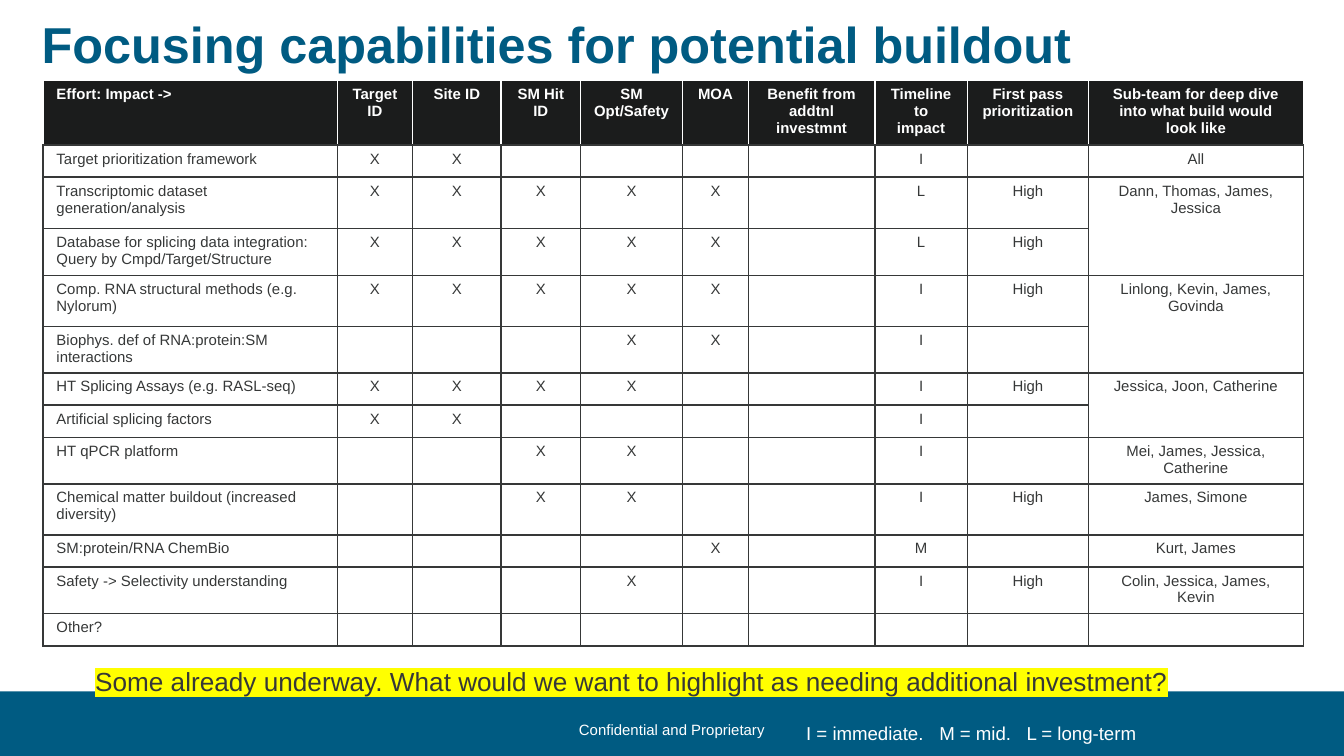
from lxml import etree
from pptx import Presentation
from pptx.dml.color import RGBColor
from pptx.enum.shapes import MSO_SHAPE
from pptx.enum.text import MSO_ANCHOR, PP_ALIGN
from pptx.oxml.ns import qn
from pptx.util import Inches, Pt

LEFT, CENTER = PP_ALIGN.LEFT, PP_ALIGN.CENTER
TOP, MIDDLE = MSO_ANCHOR.TOP, MSO_ANCHOR.MIDDLE
RECTANGLE = MSO_SHAPE.RECTANGLE

FONT = "Arial"
BLUE, WHITE, INK, HEADER_FILL, YELLOW = "005B82", "FFFFFF", "363838", "1B1C1C", "FFFF00"
SLIDE_WIDTH = 10
SLIDE_HEIGHT = SLIDE_WIDTH * 9 / 16
FOOTER_HEIGHT = 0.48
TABLE_LEFT, TABLE_TOP = 0.32, 0.6
TABLE_TEXT_SIZE = 8
CELL_MARGIN = 0.04

TITLE = "Focusing capabilities for potential buildout"
CONFIDENTIAL = "Confidential and Proprietary"
QUESTION = "Some already underway. What would we want to highlight as needing additional investment?"
LEGEND = ["I = immediate.", "M = mid.", "L = long-term"]
LEGEND_TABS = [0.99, 1.64]

# heading, column width
COLUMNS = [
    ("Effort: Impact ->", 2.19),
    ("Target ID", 0.56),
    ("Site ID", 0.66),
    ("SM Hit ID", 0.59),
    ("SM Opt/Safety", 0.76),
    ("MOA", 0.49),
    ("Benefit from addtnl investmnt", 0.94),
    ("Timeline to impact", 0.69),
    ("First pass prioritization", 0.9),
    ("Sub-team for deep dive into what build would look like", 1.6),
]
HEADER_HEIGHT = 0.44

# effort, impact marks, timeline, priority, team (None joins the cell above), row height
EFFORTS = [
    ("Target prioritization framework", "XX---", "I", "", "All", 0.24),
    ("Transcriptomic dataset generation/analysis", "XXXXX", "L", "High",
     "Dann, Thomas, James,\nJessica", 0.38),
    ("Database for splicing data integration: Query by Cmpd/Target/Structure",
     "XXXXX", "L", "High", None, 0.35),
    ("Comp. RNA structural methods (e.g. Nylorum)", "XXXXX", "I", "High",
     "Linlong, Kevin, James, Govinda", 0.38),
    ("Biophys. def of RNA:protein:SM interactions", "---XX", "I", "", None, 0.26),
    ("HT Splicing Assays (e.g. RASL-seq)", "XXXX-", "I", "High",
     "Jessica, Joon, Catherine", 0.24),
    ("Artificial splicing factors", "XX---", "I", "", None, 0.24),
    ("HT qPCR platform", "--XX-", "I", "", "Mei, James, Jessica, Catherine", 0.24),
    ("Chemical matter buildout (increased diversity)", "--XX-", "I", "High",
     "James, Simone", 0.38),
    ("SM:protein/RNA ChemBio", "----X", "M", "", "Kurt, James", 0.24),
    ("Safety -> Selectivity understanding", "---X-", "I", "High",
     "Colin, Jessica, James, Kevin", 0.24),
    ("Other?", "-----", "", "", "", 0.24),
]


def rgb(value):
    return RGBColor.from_string(value)


def add_span(para, text, size, color, bold=False):
    span = para.add_run()
    span.text = text
    span.font.name = FONT
    span.font.size = Pt(size)
    span.font.bold = bold
    span.font.color.rgb = rgb(color)
    return span


def add_box(slide, left, top, width, height, anchor=TOP, wrap=False):
    """Add a text box and return its text frame."""
    box = slide.shapes.add_textbox(Inches(left), Inches(top), Inches(width), Inches(height))
    frame = box.text_frame
    frame.word_wrap = wrap
    frame.vertical_anchor = anchor
    return frame


def highlight(span, color):
    fill = span.font._element.find(qn("a:solidFill"))
    mark = etree.Element(qn("a:highlight"))
    etree.SubElement(mark, qn("a:srgbClr"), val=color)
    fill.addnext(mark)


def add_tab_stops(para, positions):
    stops = etree.SubElement(para._p.get_or_add_pPr(), qn("a:tabLst"))
    for position in positions:
        etree.SubElement(stops, qn("a:tab"), pos=str(Inches(position)), algn="l")


def set_borders(cell, side_color, bottom_color):
    properties = cell._tc.get_or_add_tcPr()
    sides = {"lnL": side_color, "lnR": side_color, "lnT": side_color, "lnB": bottom_color}
    for side, color in sides.items():
        line = etree.SubElement(properties, qn(f"a:{side}"), w=str(Pt(1)))
        fill = etree.SubElement(line, qn("a:solidFill"))
        etree.SubElement(fill, qn("a:srgbClr"), val=color)


def fill_cell(cell, text, align, is_header):
    set_borders(cell, WHITE if is_header else INK, INK)
    cell.margin_top = cell.margin_bottom = Inches(CELL_MARGIN)
    if is_header:
        cell.fill.solid()
        cell.fill.fore_color.rgb = rgb(HEADER_FILL)
    else:
        cell.fill.background()
    frame = cell.text_frame
    for index, line in enumerate(text.split("\n")):
        para = frame.add_paragraph() if index else frame.paragraphs[0]
        para.alignment = align
        if line:
            add_span(para, line, TABLE_TEXT_SIZE, WHITE if is_header else INK, is_header)
        else:
            # An empty cell needs its own text size, or its row grows
            etree.SubElement(para._p, qn("a:endParaRPr"), sz=str(TABLE_TEXT_SIZE * 100))


def add_effort_table(slide):
    widths = [width for _, width in COLUMNS]
    heights = [HEADER_HEIGHT] + [effort[-1] for effort in EFFORTS]
    rows = [[heading for heading, _ in COLUMNS]]
    for effort, marks, timeline, priority, team, _ in EFFORTS:
        impacts = [mark.strip("-") for mark in marks]
        rows.append([effort, *impacts, "", timeline, priority, team])

    table = slide.shapes.add_table(
        len(rows), len(widths), Inches(TABLE_LEFT), Inches(TABLE_TOP),
        Inches(sum(widths)), Inches(sum(heights))).table
    table.horz_banding = False
    for column, width in zip(table.columns, widths):
        column.width = Inches(width)
    for row, height in zip(table.rows, heights):
        row.height = Inches(height)

    for r, row in enumerate(rows):
        for c, text in enumerate(row):
            cell = table.cell(r, c)
            fill_cell(cell, text or "", CENTER if c else LEFT, r == 0)
            if text is None:
                table.cell(r - 1, c).merge(cell)


def main():
    deck = Presentation()
    deck.slide_width, deck.slide_height = Inches(SLIDE_WIDTH), Inches(SLIDE_HEIGHT)
    page = deck.slides.add_slide(deck.slide_layouts[6])

    footer = page.shapes.add_shape(
        RECTANGLE, 0, Inches(SLIDE_HEIGHT - FOOTER_HEIGHT),
        Inches(SLIDE_WIDTH), Inches(FOOTER_HEIGHT))
    footer.shadow.inherit = False
    footer.fill.solid()
    footer.fill.fore_color.rgb = rgb(BLUE)
    footer.line.fill.background()

    para = add_box(page, 4.2, 5.31, 1.6, 0.24, MIDDLE).paragraphs[0]
    para.alignment = CENTER
    add_span(para, CONFIDENTIAL, 8, WHITE)

    title = add_box(page, 0.31, 0.17, 9.36, 0.56, wrap=True)
    title.margin_left = title.margin_right = title.margin_top = title.margin_bottom = 0
    title.paragraphs[0].line_spacing = 0.85
    add_span(title.paragraphs[0], TITLE, 27, BLUE, bold=True)

    add_effort_table(page)

    para = add_box(page, 0.61, 4.9, 8.2, 0.34).paragraphs[0]
    highlight(add_span(para, QUESTION, 14, INK), YELLOW)

    para = add_box(page, 5.9, 5.32, 2.68, 0.27).paragraphs[0]
    add_tab_stops(para, LEGEND_TABS)
    add_span(para, "\t".join(LEGEND), 10, WHITE)

    deck.save("out.pptx")


if __name__ == "__main__":
    main()
